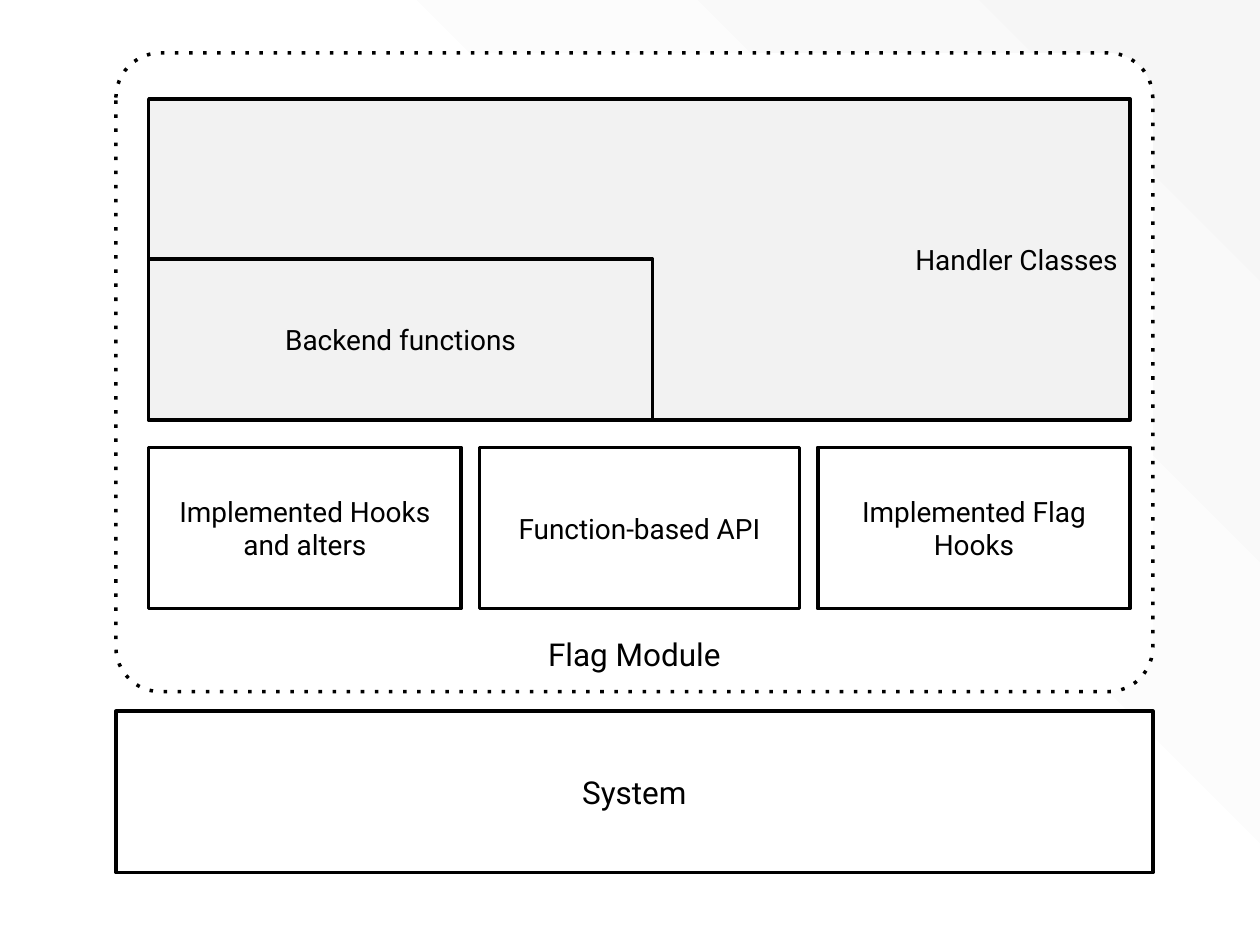
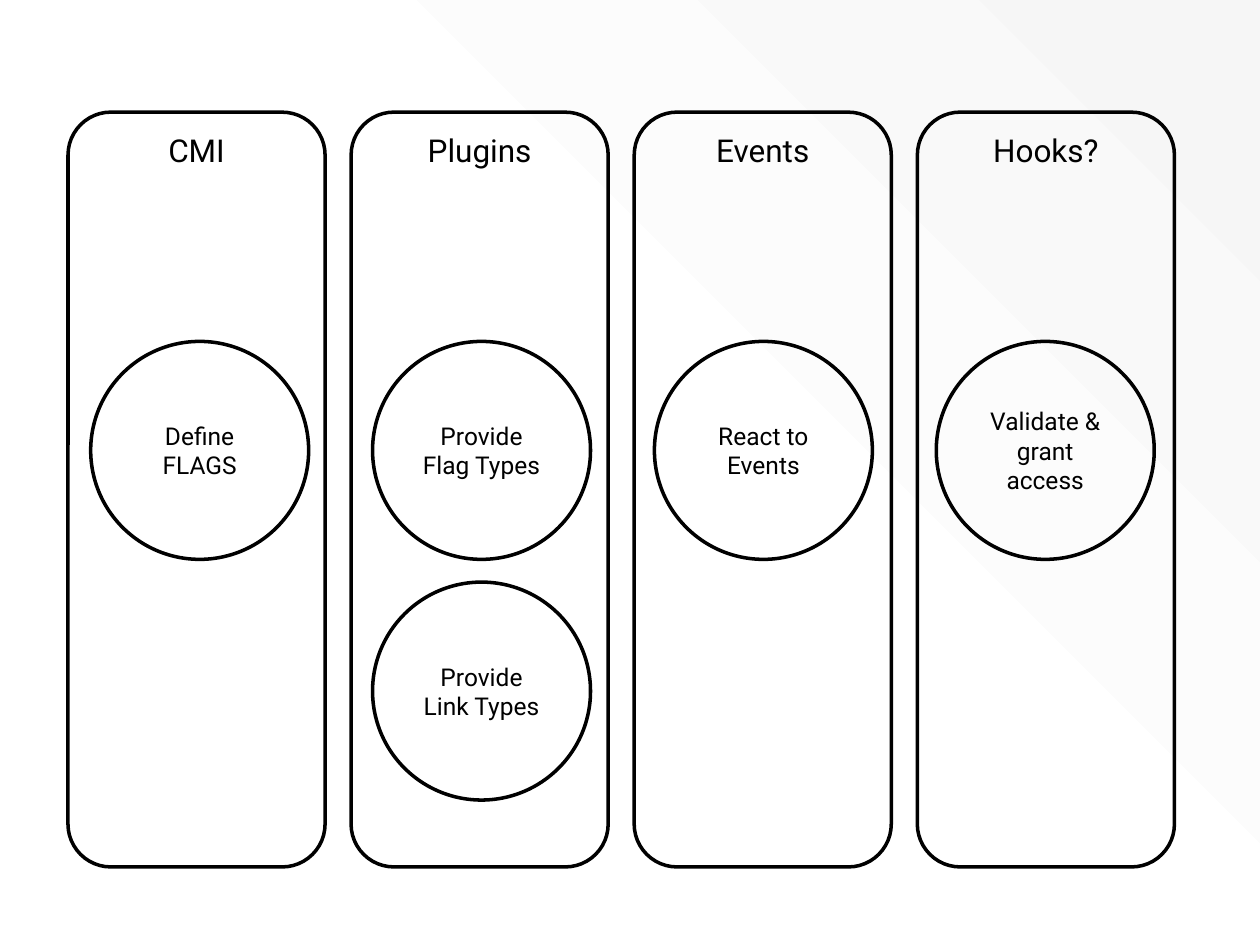
from lxml.etree import fromstring
from pptx import Presentation
from pptx.dml.color import RGBColor as Rgb
from pptx.enum.dml import MSO_LINE as Dash
from pptx.enum.shapes import MSO_SHAPE as Kind
from pptx.enum.text import MSO_ANCHOR as Anchor, PP_ALIGN as Align
from pptx.oxml.ns import qn
from pptx.util import Inches, Pt

HUES = {"ink": "000000", "paper": "FFFFFF", "mist": "F2F2F2", "haze": "F6F6F6"}
FONT = "Roboto"
COLS, ROWS = 100, 75
FADE = f"""<a:gradFill xmlns:a="http://schemas.openxmlformats.org/drawingml/2006/main" rotWithShape="1">
<a:gsLst>
<a:gs pos="0"><a:srgbClr val="{HUES['paper']}"/></a:gs>
<a:gs pos="49000"><a:srgbClr val="{HUES['paper']}"/></a:gs>
<a:gs pos="100000"><a:srgbClr val="{HUES['haze']}"/></a:gs>
</a:gsLst>
<a:path path="circle"><a:fillToRect t="100000" r="100000"/></a:path>
</a:gradFill>"""


def write(shape, text, size=16, align=Align.CENTER, anchor=Anchor.MIDDLE, hue="ink"):
    frame = shape.text_frame
    frame.word_wrap = True
    frame.vertical_anchor = anchor
    par = frame.paragraphs[0]
    par.alignment = align
    run = par.add_run()
    run.text = text
    run.font.name = FONT
    run.font.size = Pt(size)
    run.font.color.rgb = Rgb.from_string(HUES[hue])


class Deck:
    def __init__(self):
        self.show = Presentation()
        self.show.slide_width = Inches(10)
        self.show.slide_height = Inches(7.5)
        self.slide = None

    def page(self):
        self.slide = self.show.slides.add_slide(self.show.slide_layouts[6])
        back = self.shape(Kind.RECTANGLE, 0, 0, COLS, ROWS)
        back.line.fill.background()
        props = back.fill._xPr
        props.replace(props.find(qn("a:noFill")), fromstring(FADE))

    def shape(self, kind, col, row, wide, high, fill=None):
        x = self.show.slide_width / COLS
        y = self.show.slide_height / ROWS
        item = self.slide.shapes.add_shape(
            kind, round(col * x), round(row * y), round(wide * x), round(high * y))
        item.shadow.inherit = False
        if fill:
            item.fill.solid()
            item.fill.fore_color.rgb = Rgb.from_string(HUES[fill])
        else:
            item.fill.background()
        item.line.width = Pt(2)
        item.line.color.rgb = Rgb.from_string(HUES["ink"])
        return item

    def box(self, text, *area, fill="paper", **form):
        write(self.shape(Kind.RECTANGLE, *area, fill), text, **form)

    def frame(self, text, *area):
        item = self.shape(Kind.ROUNDED_RECTANGLE, *area, "paper")
        item.adjustments[0] = 0.07
        item.line.dash_style = Dash.ROUND_DOT
        item.line._ln.find(qn("a:prstDash")).set("val", "dot")
        write(item, text, size=18, anchor=Anchor.BOTTOM)

    def pillar(self, text, *area):
        write(self.shape(Kind.ROUNDED_RECTANGLE, *area), text, size=18, anchor=Anchor.TOP)

    def disc(self, text, col, row, size):
        write(self.shape(Kind.OVAL, col, row, size, size), text, size=14)


def layers(deck):
    deck.page()
    left, wide, high = 11.8, 77.9, 12.8
    deck.frame("Flag Module", 9.2, 4.2, 82.3, 50.7)
    deck.box("Handler Classes", left, 7.85, wide, 25.5, fill="mist", align=Align.RIGHT)
    deck.box("Backend functions", left, 20.55, 40, high, fill="mist")
    deck.box("System", 9.2, 56.45, 82.3, high, size=18)
    parts = [("Implemented Hooks and alters", 24.8), ("Function-based API", 25.4),
             ("Implemented Flag Hooks", 24.8)]
    gap = (wide - sum(size for _, size in parts)) / (len(parts) - 1)
    for text, size in parts:
        deck.box(text, left, 35.5, size, high)
        left += size + gap


def pillars(deck):
    deck.page()
    groups = {
        "CMI": ["Define FLAGS"],
        "Plugins": ["Provide Flag Types", "Provide Link Types"],
        "Events": ["React to Events"],
        "Hooks?": ["Validate & grant access"],
    }
    for i, (name, tasks) in enumerate(groups.items()):
        deck.pillar(name, 5.4 + i * 22.47, 8.9, 20.4, 59.9)
        for j, task in enumerate(tasks):
            deck.disc(task, 7.2 + i * 22.37, 27.1 + j * 19.1, 17.3)


def main():
    deck = Deck()
    layers(deck)
    pillars(deck)
    deck.show.save("out.pptx")


if __name__ == "__main__":
    main()
